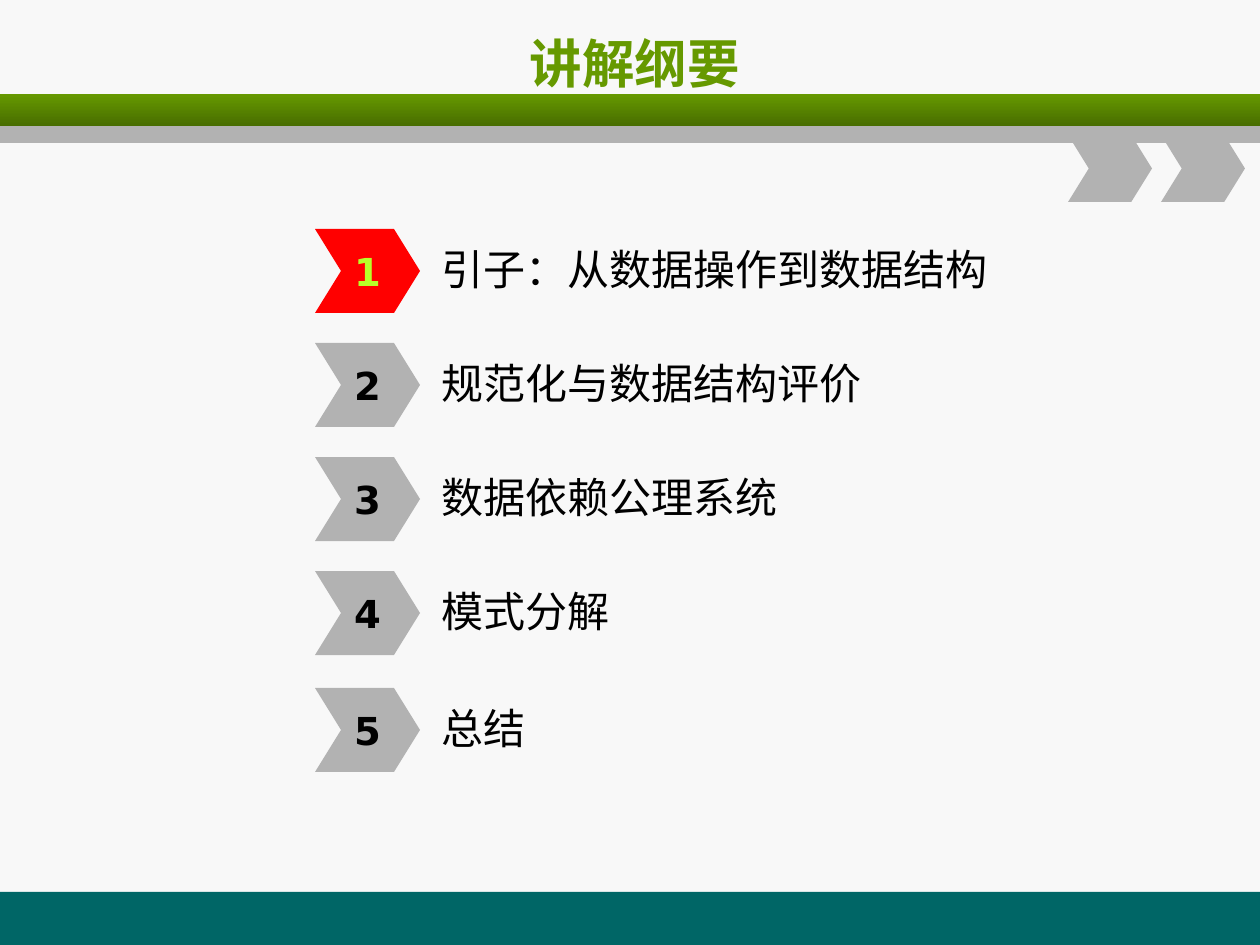
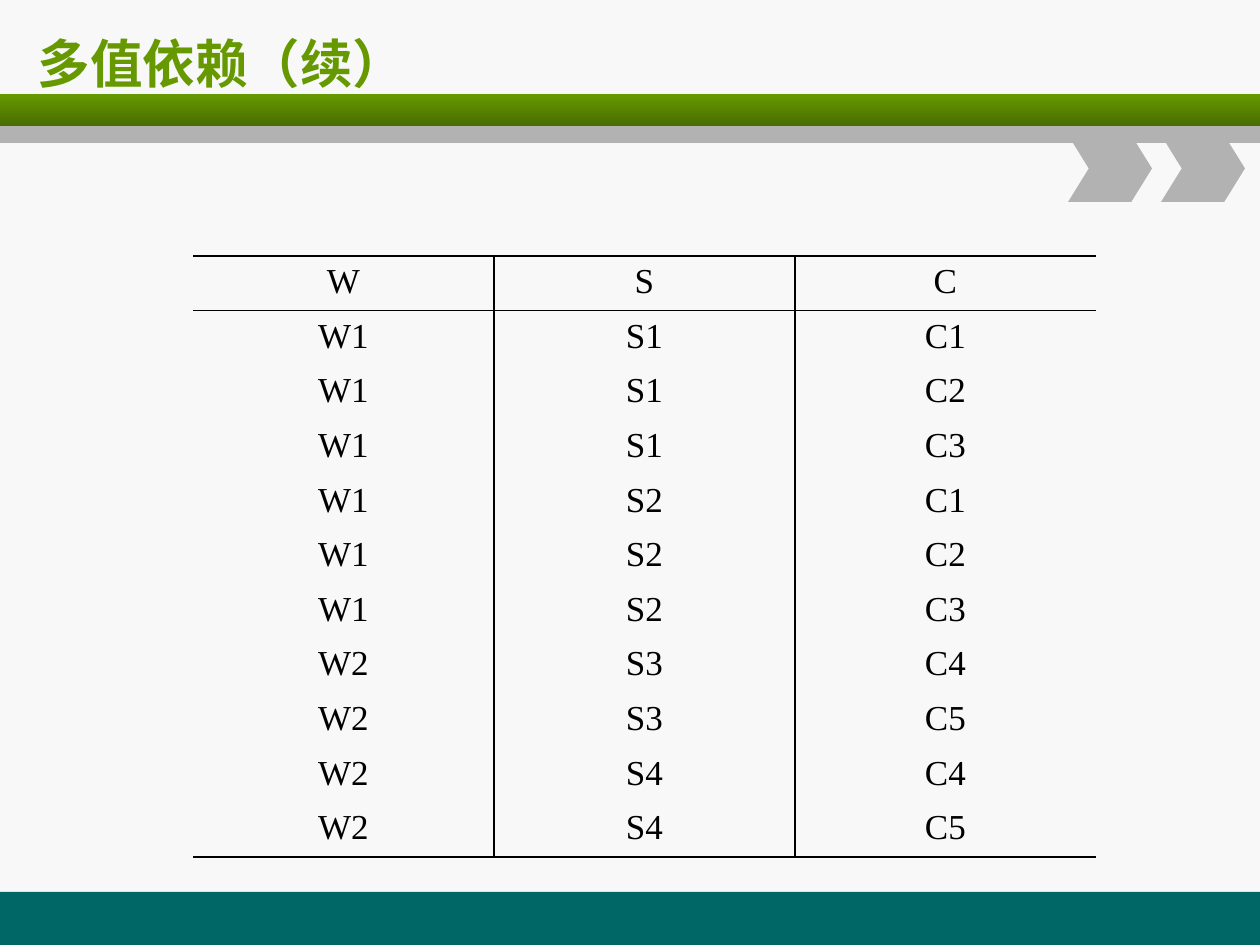
import dataclasses
import typing

import lxml.etree
import pptx
import pptx.dml.color
import pptx.enum.shapes
import pptx.enum.text
import pptx.oxml.ns
import pptx.util

RGB = pptx.dml.color.RGBColor.from_string
SHAPE = pptx.enum.shapes.MSO_SHAPE
ALIGN = pptx.enum.text.PP_ALIGN
qn = pptx.oxml.ns.qn


@dataclasses.dataclass(frozen=True)
class Theme:
    back: str = "F8F8F8"
    green: str = "669900"
    teal: str = "006666"
    gray: str = "B2B2B2"
    red: str = "FF0000"
    lime: str = "B8FF29"
    black: str = "000000"
    sans: str = "DejaVu Sans"
    han: str = "Noto Sans CJK SC"
    serif: str = "Times New Roman"
    title: int = 30
    topic: int = 24
    digit: int = 22
    cell: int = 20
    rule: int = 1
    shade: int = 46275
    notch: float = 0.31


THEME = Theme()


class Box(typing.NamedTuple):
    left: int
    top: int
    width: int
    height: int


class Part(typing.NamedTuple):
    kind: SHAPE
    box: Box
    color: str


class Style(typing.NamedTuple):
    face: str
    size: int
    color: str
    bold: bool = False
    align: ALIGN = ALIGN.LEFT


class Topic(typing.NamedTuple):
    top: int
    text: str


TITLE = Style(THEME.sans, THEME.title, THEME.green, True)
TOPIC = Style(THEME.han, THEME.topic, THEME.black)
DIGIT = Style(THEME.sans, THEME.digit, THEME.black, True, ALIGN.CENTER)
CELL = Style(THEME.serif, THEME.cell, THEME.black, False, ALIGN.CENTER)

BAND = Part(SHAPE.RECTANGLE, Box(0, 94, 1260, 32), THEME.green)
FRAME = [
    Part(SHAPE.RECTANGLE, Box(0, 892, 1260, 53), THEME.teal),
    Part(SHAPE.RECTANGLE, Box(0, 126, 1260, 17), THEME.gray),
    *(Part(SHAPE.CHEVRON, Box(left, 135, 84, 67), THEME.gray)
      for left in (1068, 1161)),
]

TOPICS = [
    Topic(229, "引子：从数据操作到数据结构"),
    Topic(343, "规范化与数据结构评价"),
    Topic(457, "数据依赖公理系统"),
    Topic(571, "模式分解"),
    Topic(688, "总结"),
]
ACTIVE = 1

# Each W is paired with every S and every C of its group.
GROUPS = [
    ("W1", ("S1", "S2"), ("C1", "C2", "C3")),
    ("W2", ("S3", "S4"), ("C4", "C5")),
]
ROWS = [("W", "S", "C")] + [
    (w, s, c) for w, many_s, many_c in GROUPS for s in many_s for c in many_c
]


def px(count: int) -> int:
    """Turn pixels, 126 to the inch, into EMU."""
    return round(count * 914400 / 126)


def place(box: Box) -> list[int]:
    return [px(side) for side in box]


def assign(target: typing.Any, values: dict[str, typing.Any]) -> None:
    for name, value in values.items():
        setattr(target, name, value)


def write(frame: typing.Any, text: str, style: Style) -> None:
    para = frame.paragraphs[0]
    para.alignment = style.align
    run = para.add_run()
    run.text = text
    assign(run.font, {
        "name": style.face,
        "size": pptx.util.Pt(style.size),
        "bold": style.bold,
    })
    run.font.color.rgb = RGB(style.color)
    east = lxml.etree.SubElement(run.font._element, qn("a:ea"))
    east.set("typeface", THEME.han)


def draw(slide: typing.Any, part: Part) -> typing.Any:
    shape = slide.shapes.add_shape(part.kind, *place(part.box))
    shape.shadow.inherit = False
    shape.fill.solid()
    shape.fill.fore_color.rgb = RGB(part.color)
    shape.line.fill.background()
    if part.kind == SHAPE.CHEVRON:
        shape.adjustments[0] = THEME.notch
    return shape


def draw_band(slide: typing.Any) -> None:
    """Draw the green band, which darkens toward its lower edge."""
    band = draw(slide, BAND)
    band.fill.gradient()
    band.fill.gradient_angle = 270
    for stop, place_at in zip(band.fill.gradient_stops, (0, 1)):
        stop.position = place_at
        stop.color.rgb = RGB(BAND.color)
    last = list(band._element.spPr.iter(qn("a:srgbClr")))[-1]
    lxml.etree.SubElement(last, qn("a:shade")).set("val", str(THEME.shade))


def add_slide(deck: typing.Any, title: str, box: Box, align: ALIGN) -> typing.Any:
    slide = deck.slides.add_slide(deck.slide_layouts[5])
    draw_band(slide)
    for part in FRAME:
        draw(slide, part)
    head = slide.shapes.title
    assign(head, dict(zip(("left", "top", "width", "height"), place(box))))
    assign(head.text_frame, {
        "auto_size": pptx.enum.text.MSO_AUTO_SIZE.NONE,
        "vertical_anchor": pptx.enum.text.MSO_ANCHOR.MIDDLE,
    })
    write(head.text_frame, title, TITLE._replace(align=align))
    slide.shapes._spTree.append(head._element)
    return slide


def add_topic(slide: typing.Any, number: int, topic: Topic) -> None:
    active = number == ACTIVE
    fill = THEME.red if active else THEME.gray
    ink = THEME.lime if active else THEME.black
    arrow = draw(slide, Part(SHAPE.CHEVRON, Box(315, topic.top, 105, 84), fill))
    label = slide.shapes.add_textbox(*place(Box(420, topic.top + 3, 746, 73)))
    for shape in (arrow, label):
        assign(shape.text_frame, {
            "word_wrap": False,
            "vertical_anchor": pptx.enum.text.MSO_ANCHOR.MIDDLE,
        })
    label.text_frame.margin_left = px(22)
    write(arrow.text_frame, str(number), DIGIT._replace(color=ink))
    write(label.text_frame, topic.text, TOPIC)


def set_edges(cell: typing.Any, drawn: dict[str, bool]) -> None:
    """Rule the cell's drawn sides and clear the others."""
    props = cell._tc.get_or_add_tcPr()
    for side, shown in drawn.items():
        line = lxml.etree.SubElement(props, qn(f"a:ln{side}"))
        line.set("w", str(pptx.util.Pt(THEME.rule)))
        if shown:
            fill = lxml.etree.SubElement(line, qn("a:solidFill"))
            ink = lxml.etree.SubElement(fill, qn("a:srgbClr"))
            ink.set("val", THEME.black)
        else:
            lxml.etree.SubElement(line, qn("a:noFill"))


def add_grid(slide: typing.Any, rows: list[tuple[str, ...]], box: Box) -> None:
    tall, wide = len(rows), len(rows[0])
    grid = slide.shapes.add_table(tall, wide, *place(box)).table
    assign(grid, {"first_row": False, "horz_banding": False})
    for y, row in enumerate(rows):
        for x, text in enumerate(row):
            cell = grid.cell(y, x)
            write(cell.text_frame, text, CELL)
            set_edges(cell, {
                "L": x > 0,
                "R": x < wide - 1,
                "T": y < 2,
                "B": y in (0, tall - 1),
            })
            cell.fill.background()


def main() -> None:
    deck = pptx.Presentation()
    assign(deck, {"slide_width": px(1260), "slide_height": px(945)})
    back = deck.slide_master.background.fill
    back.solid()
    back.fore_color.rgb = RGB(THEME.back)

    outline = add_slide(deck, "讲解纲要", Box(68, 21, 1134, 84), ALIGN.CENTER)
    for number, topic in enumerate(TOPICS, 1):
        add_topic(outline, number, topic)

    values = add_slide(deck, "多值依赖（续）", Box(25, 21, 1203, 84), ALIGN.LEFT)
    add_grid(values, ROWS, Box(193, 256, 903, 601))
    deck.save("out.pptx")


if __name__ == "__main__":
    main()
